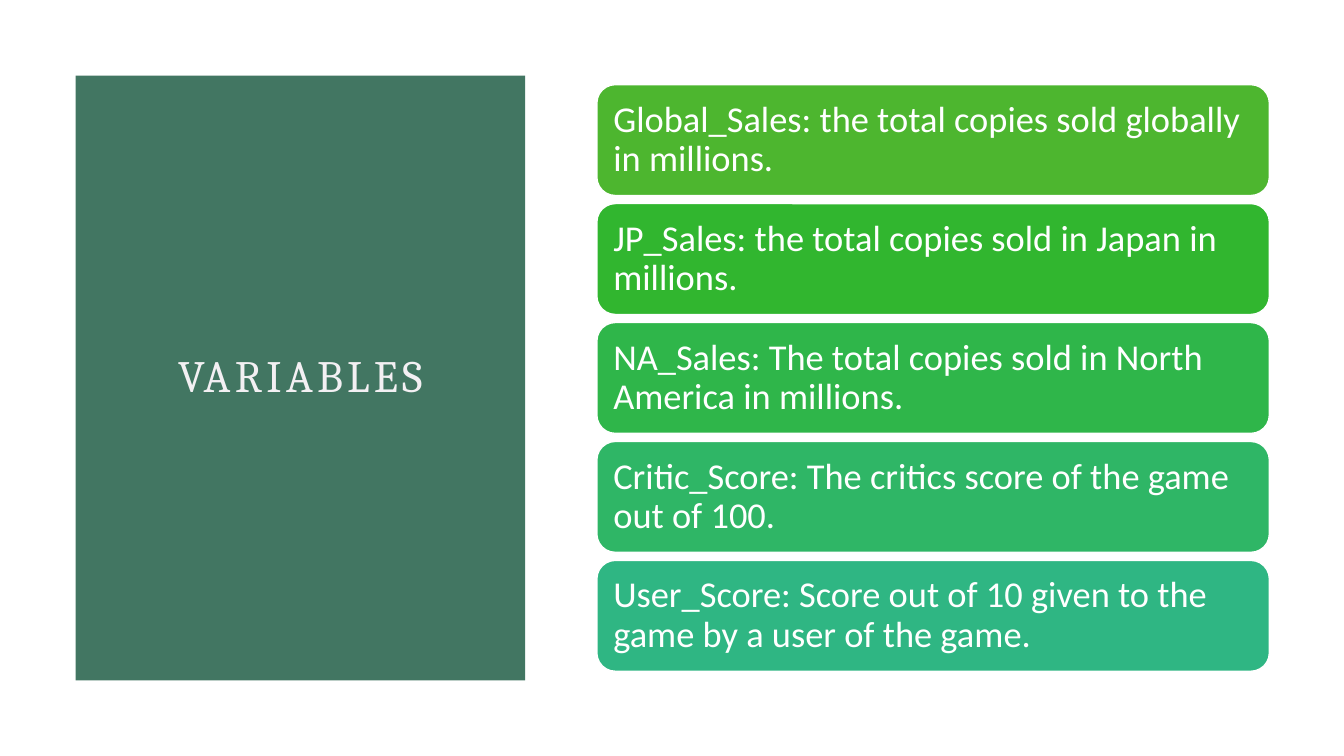
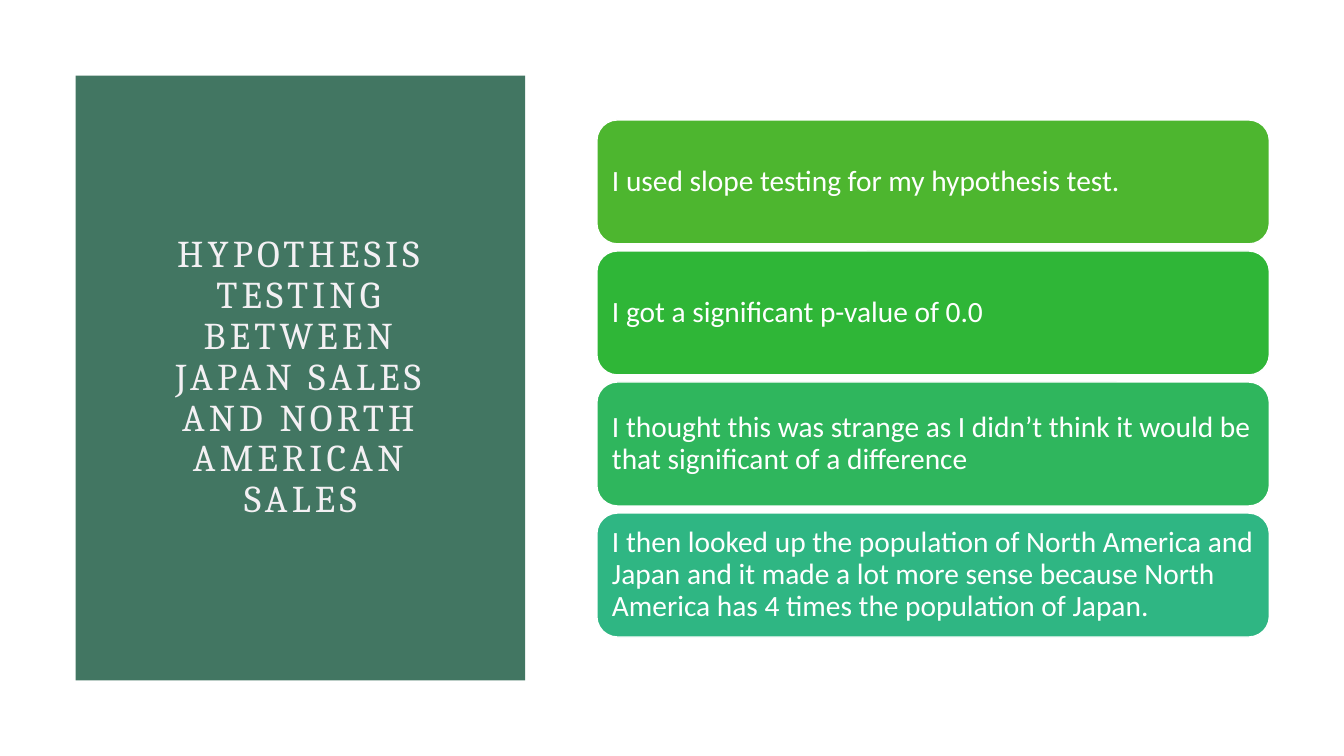
import pptx
import pptx.util
import pptx.dml.color
import pptx.enum.shapes
import pptx.enum.text

Inches = pptx.util.Inches
Pt = pptx.util.Pt
RGBColor = pptx.dml.color.RGBColor
Shape = pptx.enum.shapes.MSO_SHAPE
Align = pptx.enum.text.PP_ALIGN
Anchor = pptx.enum.text.MSO_ANCHOR

WHITE = RGBColor(0xFF, 0xFF, 0xFF)
PANEL_GREEN = RGBColor(0x42, 0x76, 0x62)
TITLE_GREY = RGBColor(0xF3, 0xF0, 0xF3)
LEAF = RGBColor(0x4D, 0xB6, 0x2F)
GRASS = RGBColor(0x31, 0xB6, 0x2F)
CLOVER = RGBColor(0x2F, 0xB6, 0x37)
EMERALD = RGBColor(0x2F, 0xB6, 0x4A)
MINT = RGBColor(0x2F, 0xB6, 0x5D)
JADE = RGBColor(0x2F, 0xB6, 0x66)
TEAL = RGBColor(0x2F, 0xB6, 0x83)

SLIDES = [
    {
        "title": "VARIABLES", "title_size": 32,
        "top": 0.84, "height": 1.1, "pitch": 1.18, "size": 26, "inset": 0.11,
        "cards": [
            ("Global_Sales: the total copies sold globally in millions.", LEAF),
            ("JP_Sales: the total copies sold in Japan in millions.", GRASS),
            ("NA_Sales: The total copies sold in North America in millions.", EMERALD),
            ("Critic_Score: The critics score of the game out of 100.", JADE),
            ("User_Score: Score out of 10 given to the game by a user of the game.", TEAL),
        ],
    },
    {
        "title": "HYPOTHESIS TESTING BETWEEN JAPAN SALES AND NORTH AMERICAN SALES",
        "title_size": 27,
        "top": 1.19, "height": 1.23, "pitch": 1.3, "size": 21, "inset": 0.09,
        "cards": [
            ("I used slope testing for my hypothesis test.", LEAF),
            ("I got a significant p-value of 0.0", CLOVER),
            ("I thought this was strange as I didn’t think it would be "
             "that significant of a difference", MINT),
            ("I then looked up the population of North America and Japan and it made "
             "a lot more sense because North America has 4 times the population of Japan.", TEAL),
        ],
    },
]

PANEL = (0.75, 0.75, 4.46, 6)
TITLE_AREA = (1.5, 1.5, 2.96, 4.5)
CARD_LEFT, CARD_WIDTH = 5.92, 6.67


def add_block(page, kind, area, fill, line=None):
    block = page.shapes.add_shape(kind, *map(Inches, area))
    block.shadow.inherit = False
    block.fill.solid()
    block.fill.fore_color.rgb = fill
    if line is None:
        block.line.fill.background()
    else:
        block.line.color.rgb = line
        block.line.width = Pt(1)
    return block


def write(box, text, *, font, size, color, align=Align.LEFT, inset=None, tracking=0):
    frame = box.text_frame
    frame.word_wrap = True
    frame.vertical_anchor = Anchor.MIDDLE
    if inset is not None:
        frame.margin_left = frame.margin_right = Inches(inset)
        frame.margin_top = frame.margin_bottom = Inches(inset)
    para = frame.paragraphs[0]
    para.alignment = align
    para.line_spacing = 0.9
    span = para.add_run()
    span.text = text
    span.font.name = font
    span.font.size = Pt(size)
    span.font.color.rgb = color
    if tracking:
        span._r.get_or_add_rPr().set("spc", str(tracking * 100))


def add_title_panel(page, title, size):
    add_block(page, Shape.RECTANGLE, PANEL, PANEL_GREEN)
    box = page.shapes.add_textbox(*map(Inches, TITLE_AREA))
    write(box, title, font="Cambria", size=size, color=TITLE_GREY,
          align=Align.CENTER, tracking=3)


def add_cards(page, content):
    for index, (text, fill) in enumerate(content["cards"]):
        top = content["top"] + index * content["pitch"]
        area = (CARD_LEFT, top, CARD_WIDTH, content["height"])
        card = add_block(page, Shape.ROUNDED_RECTANGLE, area, fill, line=WHITE)
        write(card, text, font="Calibri", size=content["size"], color=WHITE,
              inset=content["inset"])


deck = pptx.Presentation()
deck.slide_width = Inches(13.33)
deck.slide_height = Inches(7.5)
for content in SLIDES:
    page = deck.slides.add_slide(deck.slide_layouts[6])
    add_title_panel(page, content["title"], content["title_size"])
    add_cards(page, content)
deck.save("out.pptx")
